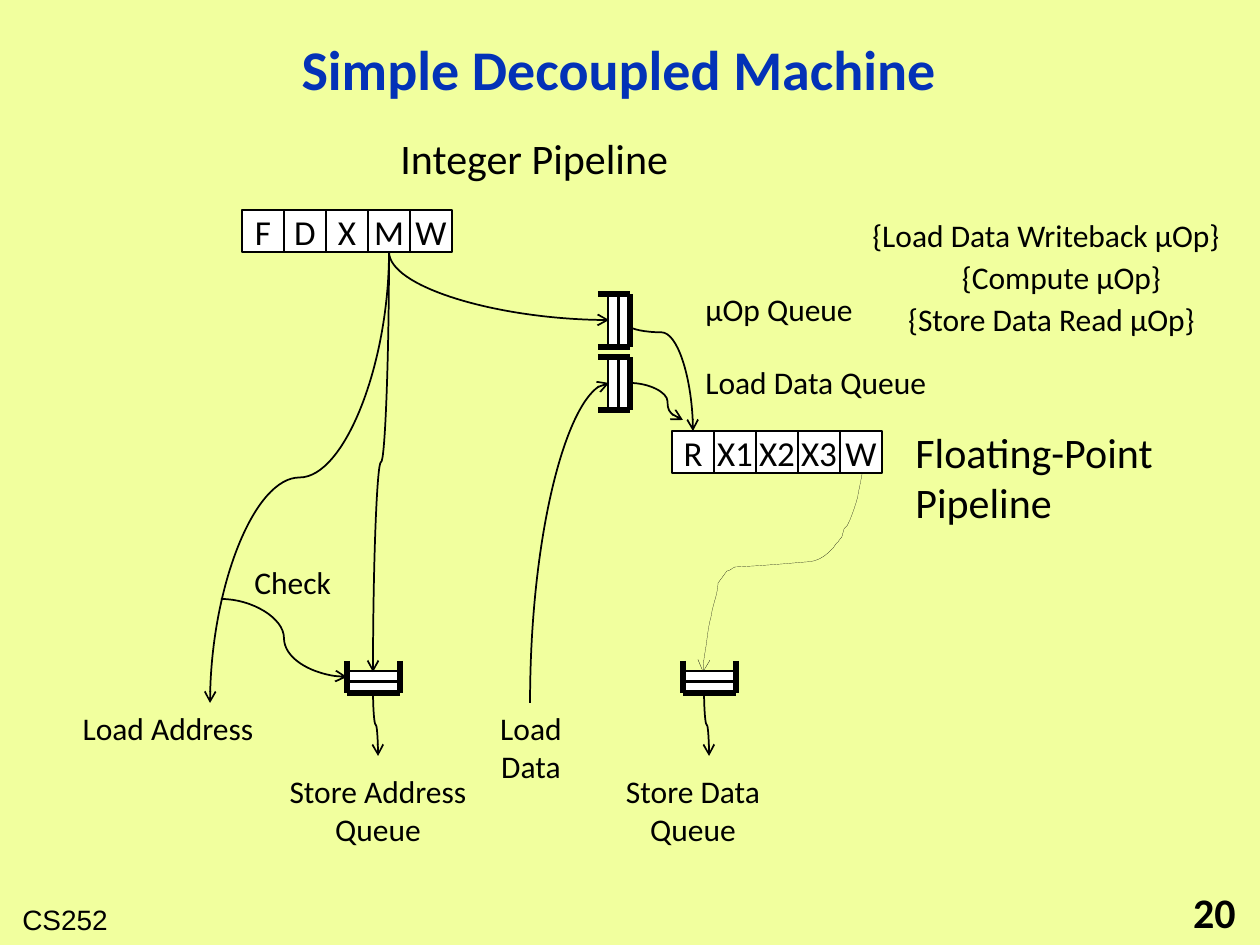
from pptx import Presentation
from pptx.dml.color import RGBColor
from pptx.enum.shapes import MSO_CONNECTOR, MSO_SHAPE
from pptx.enum.text import MSO_ANCHOR, MSO_AUTO_SIZE, PP_ALIGN
from pptx.oxml.ns import qn
from pptx.util import Pt
from lxml import etree

RECT = MSO_SHAPE.RECTANGLE
LINE, CURVE = MSO_CONNECTOR.STRAIGHT, MSO_CONNECTOR.CURVE
TOP, MID = MSO_ANCHOR.TOP, MSO_ANCHOR.MIDDLE
GROW, FIXED = MSO_AUTO_SIZE.SHAPE_TO_FIT_TEXT, MSO_AUTO_SIZE.NONE
LEFT, CENTER, RIGHT = PP_ALIGN.LEFT, PP_ALIGN.CENTER, PP_ALIGN.RIGHT
SCALE = 914400 / 126
CELL = 42
BLACK, WHITE, BLUE, LIME = "000000", "FFFFFF", "0332B7", "F1FF9E"

LABELS = [
    ("µOp Queue", (693, 284, 174, 50), 18, LEFT, False),
    ("Load Data Queue", (693, 357, 249, 50), 18, LEFT, False),
    ("Store Address Queue", (273, 766, 210, 89), 18, CENTER, True),
    ("Store Data Queue", (609, 766, 168, 89), 18, CENTER, True),
    ("Integer Pipeline", (388, 126, 297, 63), 24, LEFT, False),
    ("Floating-Point Pipeline", (903, 420, 294, 115), 24, LEFT, True),
    ("Load Address", (63, 703, 210, 50), 18, CENTER, True),
    ("Check", (242, 557, 103, 50), 18, LEFT, False),
    ("Load Data", (473, 703, 116, 89), 18, CENTER, True),
    ("{Load Data Writeback µOp}", (836, 210, 420, 50), 18, CENTER, True),
    ("{Compute µOp}", (883, 252, 357, 50), 18, CENTER, True),
    ("{Store Data Read µOp}", (873, 294, 357, 50), 18, CENTER, True),
]
CURVES = [
    ((389, 252), (373, 672), 90, "", 3, 0.5),
    ((389, 252), (210, 703), 90, "", 3, 0.5),
    ((221, 599), (347, 677), 0, "", 3, 0.5),
    ((389, 252), (609, 320), 270, "H", 2, None),
    ((530, 703), (609, 383), 90, "HV", 2, None),
    ((630, 326), (693, 431), 270, "H", 3, 0.06),
    ((630, 383), (683, 420), 0, "", 3, 0.71),
    ((373, 693), (378, 756), 270, "H", 3, 0.5),
    ((704, 693), (709, 756), 270, "H", 3, 0.5),
]
START = (862, 474)
BENDS = [
    [(861, 481), (859, 489), (858, 495)],
    [(858, 498), (851, 519), (848, 524)],
    [(847, 527), (845, 527), (844, 529)],
    [(840, 543), (844, 533), (838, 542)],
    [(835, 544), (834, 548), (832, 549)],
    [(824, 558), (815, 562), (806, 562)],
    [(782, 564), (759, 566), (735, 567)],
    [(732, 568), (730, 571), (727, 571)],
    [(726, 572), (719, 582), (718, 583)],
    [(718, 587), (717, 592), (716, 596)],
    [(714, 604), (712, 609), (711, 617)],
    [(709, 624), (708, 631), (707, 639)],
    [(706, 648), (704, 656), (703, 668)],
    [(703, 669), (703, 671), (703, 672)],
]


def emu(*px):
    """Turn px lengths into EMU."""
    return [round(n * SCALE) for n in px]


def hue(code):
    """Give the colour of a hex string."""
    return RGBColor.from_string(code)


def plain(shape):
    """Drop the theme style, and its shadow, from a shape."""
    shape._element.remove(shape._element.find(qn("p:style")))


def ink(line, width):
    """Make a line black and this many points wide."""
    line.color.rgb = hue(BLACK)
    line.width = Pt(width)


def arrow(line):
    """Put an open arrowhead at the end of a line."""
    etree.SubElement(line._get_or_add_ln(), qn("a:tailEnd"), type="arrow")


def write(para, text, size, align, font="Calibri", color=BLACK, bold=False):
    """Add one styled run to a paragraph."""
    para.alignment = align
    run = para.add_run()
    run.text = text
    run.font.name, run.font.size, run.font.bold = font, Pt(size), bold
    run.font.color.rgb = hue(color)


def label(slide, text, box, size, align, wrap, anchor=TOP, fit=GROW, **style):
    """Add a text box and give back its paragraph."""
    frame = slide.shapes.add_textbox(*emu(*box)).text_frame
    frame.word_wrap = wrap
    frame.auto_size = fit
    frame.vertical_anchor = anchor
    write(frame.paragraphs[0], text, size, align, **style)
    return frame.paragraphs[0]


def block(shapes, box):
    """Add a white outlined box."""
    shape = shapes.add_shape(RECT, *emu(*box))
    plain(shape)
    shape.fill.solid()
    shape.fill.fore_color.rgb = hue(WHITE)
    ink(shape.line, 1)
    return shape


def pipe(slide, left, top, names):
    """Add a row of pipeline stages."""
    for i, name in enumerate(names):
        frame = block(slide.shapes, (left + i * CELL, top, CELL, CELL)).text_frame
        frame.margin_left = frame.margin_right = 0
        frame.margin_top = frame.margin_bottom = 0
        frame.vertical_anchor = MID
        frame.word_wrap = True
        write(frame.paragraphs[0], name, 20, CENTER)


def queue(slide, left, top, side):
    """Add a two-slot queue that opens to the left or, if not side, upward."""
    def turn(deep, wide):
        return (deep, wide) if side else (wide, deep)

    def spot(deep, wide):
        x, y = turn(deep, wide)
        return left + x, top + y

    shapes = slide.shapes.add_group_shape().shapes
    for deep in (10, 21):
        block(shapes, (*spot(deep, 0), *turn(10, 53)))
    for start, end in [((0, 0), (32, 0)), ((0, 53), (32, 53)), ((32, 53), (32, 0))]:
        rail = shapes.add_connector(LINE, *emu(*spot(*start), *spot(*end)))
        plain(rail)
        ink(rail.line, 3)


def curve(slide, start, end, turn, flips, bends, adjust):
    """Add a curved arrow from start to end."""
    (x, y), (u, v) = start, end
    wide, high = abs(u - x), abs(v - y)
    if turn:
        wide, high = high, wide
    link = slide.shapes.add_connector(CURVE, 0, 0, 0, 0)
    link.left, link.top, link.width, link.height = emu(
        (x + u - wide) / 2, (y + v - high) / 2, wide, high)
    plain(link)
    frame = link._element.spPr.find(qn("a:xfrm"))
    frame.set("rot", str(turn * 60000))
    for flip in flips:
        frame.set("flip" + flip, "1")
    geom = link._element.spPr.find(qn("a:prstGeom"))
    geom.set("prst", f"curvedConnector{bends}")
    if adjust is not None:
        fmla = f"val {round(adjust * 100000)}"
        etree.SubElement(geom.find(qn("a:avLst")), qn("a:gd"), name="adj1", fmla=fmla)
    ink(link.line, 1)
    arrow(link.line)


def trail(slide, start, bends, steps=6):
    """Add a hairline arrow along a chain of Bezier bends."""
    dots, last = [], start
    for one, two, end in bends:
        for t in (i / steps for i in range(1, steps + 1)):
            s = 1 - t
            dots.append([s**3 * a + 3 * s * s * t * b + 3 * s * t * t * c + t**3 * d
                         for a, b, c, d in zip(last, one, two, end)])
        last = end
    pen = slide.shapes.build_freeform(*emu(*start))
    pen.add_line_segments([emu(*dot) for dot in dots], close=False)
    shape = pen.convert_to_shape()
    plain(shape)
    shape.fill.background()
    shape.line.color.rgb = hue(BLACK)
    arrow(shape.line)


def main():
    """Build the slide and save it."""
    deck = Presentation()
    deck.slide_width, deck.slide_height = emu(1260, 945)
    slide = deck.slides.add_slide(deck.slide_layouts[6])
    slide.background.fill.solid()
    slide.background.fill.fore_color.rgb = hue(LIME)
    label(slide, "CS252", (10, 896, 112, 47), 16, LEFT, False, font="Arial")
    title = label(slide, "Simple Decoupled Machine", (116, 21, 1006, 102), 32,
                  CENTER, True, MID, FIXED, color=BLUE, bold=True)
    title.line_spacing = 0.9
    label(slide, "20", (986, 892, 262, 40), 24, RIGHT, False, MID, FIXED, bold=True)
    pipe(slide, 242, 210, ["F", "D", "X", "M", "W"])
    pipe(slide, 672, 431, ["R", "X1", "X2", "X3", "W"])
    for left, top, side in [(598, 294, True), (598, 357, True),
                            (347, 661, False), (683, 661, False)]:
        queue(slide, left, top, side)
    for item in LABELS:
        label(slide, *item)
    for item in CURVES:
        curve(slide, *item)
    trail(slide, START, BENDS)
    deck.save("out.pptx")


if __name__ == "__main__":
    main()
